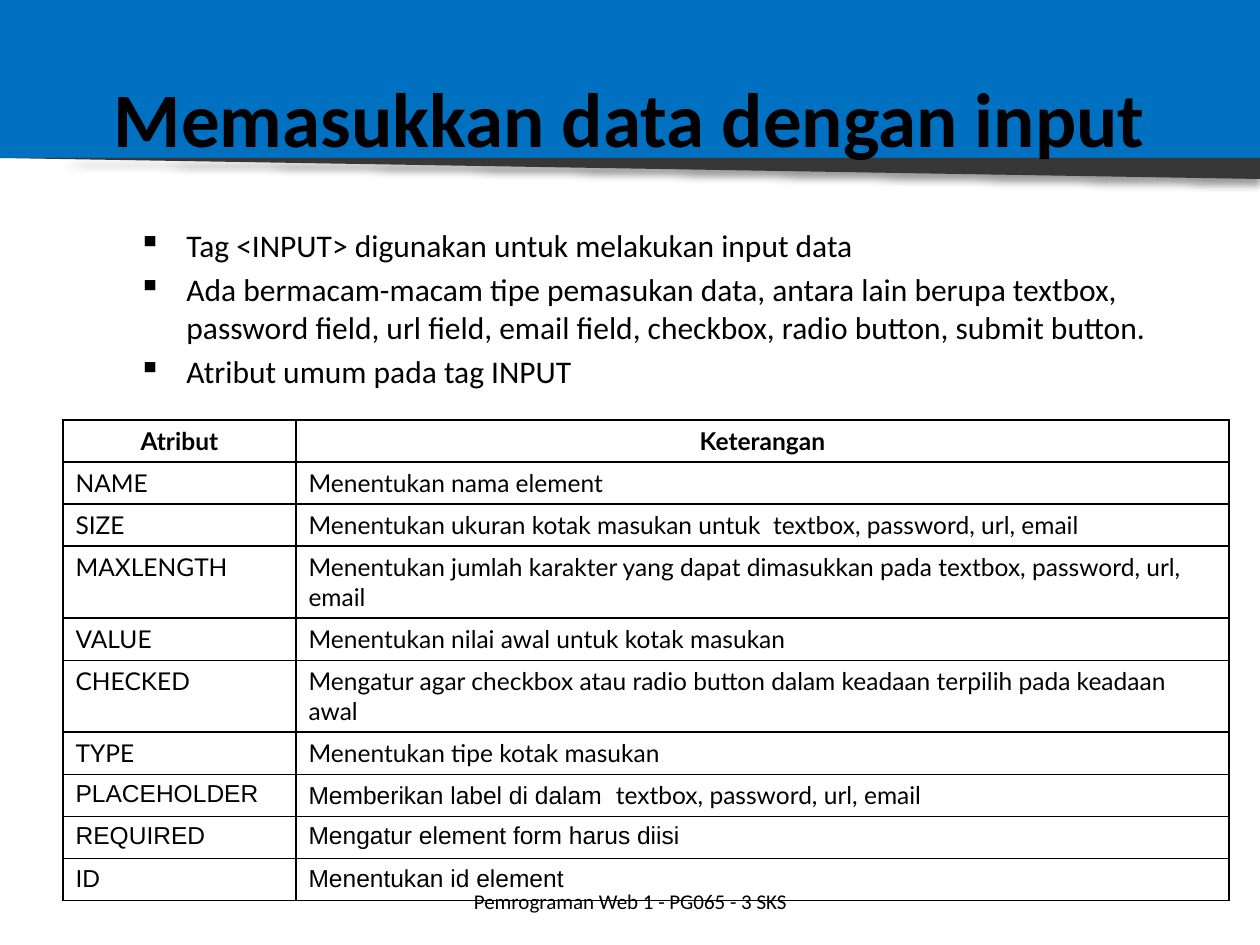
import pptx
import pptx.util
import pptx.dml.color
import pptx.enum.shapes
import pptx.enum.text
import pptx.oxml
import pptx.oxml.ns

BLACK = pptx.dml.color.RGBColor(0x00, 0x00, 0x00)
BLUE = pptx.dml.color.RGBColor(0x00, 0x70, 0xC0)
DARK_GRAY = pptx.dml.color.RGBColor(0x37, 0x37, 0x37)
CENTER = pptx.enum.text.PP_ALIGN.CENTER
LEFT = pptx.enum.text.PP_ALIGN.LEFT
MIDDLE = pptx.enum.text.MSO_ANCHOR.MIDDLE
SHAPES = pptx.enum.shapes.MSO_SHAPE
NAMESPACE = pptx.oxml.ns.nsdecls("a")


def px(*lengths):
    """Turn pixels (126 to the inch) into EMU."""
    return [pptx.util.Emu(round(length * 914400 / 126)) for length in lengths]


def write(paragraph, text, font="Calibri", size=18, bold=False, align=LEFT):
    paragraph.alignment = align
    run = paragraph.add_run()
    run.text = text
    run.font.name = font
    run.font.size = pptx.util.Pt(size)
    run.font.bold = bold
    run.font.color.rgb = BLACK


deck = pptx.Presentation()
deck.slide_width, deck.slide_height = px(1260, 945)
slide = deck.slides.add_slide(deck.slide_layouts[5])

# Header band with a slanted, shadowed edge
band = slide.shapes.add_shape(SHAPES.RECTANGLE, *px(0, 0, 1260, 158))
edge = slide.shapes.add_shape(SHAPES.RIGHT_TRIANGLE, *px(0, 158, 1260, 21))
edge.rotation = 180
for part, color in ((band, BLUE), (edge, DARK_GRAY)):
    part.shadow.inherit = False
    part.fill.solid()
    part.fill.fore_color.rgb = color
    part.line.fill.background()
effects = edge._element.spPr.find(pptx.oxml.ns.qn("a:effectLst"))
effects.append(pptx.oxml.parse_xml(
    f'<a:outerShdw {NAMESPACE} blurRad="50800" dist="38100" dir="5400000" rotWithShape="0">'
    '<a:srgbClr val="000000"><a:alpha val="40000"/></a:srgbClr></a:outerShdw>'))

# Title, brought in front of the band
title = slide.shapes.title
title.left, title.top, title.width, title.height = px(63, 38, 1134, 158)
title.text_frame.vertical_anchor = MIDDLE
write(title.text_frame.paragraphs[0], "Memasukkan data dengan input",
      size=44, bold=True, align=CENTER)
slide.shapes._spTree.append(title._element)

# Footer
footer = slide.shapes.add_textbox(*px(431, 876, 399, 50)).text_frame
footer.word_wrap = True
footer.vertical_anchor = MIDDLE
write(footer.paragraphs[0], "Pemrograman Web 1 - PG065 - 3 SKS", size=12, align=CENTER)

# Bulleted introduction
intro = slide.shapes.add_textbox(*px(126, 220, 1080, 624)).text_frame
intro.word_wrap = True
points = [
    "Tag <INPUT> digunakan untuk melakukan input data",
    "Ada bermacam-macam tipe pemasukan data, antara lain berupa textbox, "
    "password field, url field, email field, checkbox, radio button, submit button.",
    "Atribut umum pada tag INPUT",
]
for number, point in enumerate(points):
    paragraph = intro.add_paragraph() if number else intro.paragraphs[0]
    paragraph.space_before = pptx.util.Pt(3.6)
    write(paragraph, point)
    properties = paragraph._p.get_or_add_pPr()
    indent = px(48)[0]
    properties.set("marL", str(indent))
    properties.set("indent", str(-indent))
    properties.append(pptx.oxml.parse_xml(f'<a:buChar {NAMESPACE} char="▪"/>'))

# Attribute table: row height, then the (text, font) runs of each cell
attributes = [
    (42, [("Atribut", "Lato")], [("Keterangan", "Lato")]),
    (42, [("NAME", "Lato")], [("Menentukan nama element", "Lato")]),
    (42, [("SIZE", "Lato")],
     [("Menentukan ukuran kotak masukan untuk  textbox, password, url, email", "Lato")]),
    (72, [("MAXLENGTH", "Lato")],
     [("Menentukan jumlah karakter yang dapat dimasukkan pada textbox, "
       "password, url, email", "Lato")]),
    (42, [("VALUE", "Lato")], [("Menentukan nilai awal untuk kotak masukan", "Lato")]),
    (72, [("CHECKED", "Lato")],
     [("Mengatur agar checkbox atau radio button dalam keadaan terpilih "
       "pada keadaan awal", "Lato")]),
    (42, [("TYPE", "Lato")], [("Menentukan tipe kotak masukan", "Lato")]),
    (42, [("PLACEHOLDER", "Arial")],
     [("Memberikan label di dalam  ", "Arial"), ("textbox, password, url, email", "Lato")]),
    (40, [("REQUIRED", "Arial")], [("Mengatur element form harus diisi", "Arial")]),
    (40, [("ID", "Arial")], [("Menentukan id element", "Arial")]),
]
table_height = sum(height for height, *_ in attributes)
table = slide.shapes.add_table(len(attributes), 2, *px(63, 420, 1166, table_height)).table
table.columns[0].width, table.columns[1].width = px(233, 933)
for row, (height, *cells) in enumerate(attributes):
    table.rows[row].height = px(height)[0]
    for column, runs in enumerate(cells):
        cell = table.cell(row, column)
        for text, font in runs:
            write(cell.text_frame.paragraphs[0], text, font=font, size=14,
                  bold=row == 0, align=LEFT if row else CENTER)
        borders = cell._tc.get_or_add_tcPr()
        for side in ("lnL", "lnR", "lnT", "lnB"):
            borders.append(pptx.oxml.parse_xml(
                f'<a:{side} {NAMESPACE} w="12700"><a:solidFill>'
                f'<a:srgbClr val="{BLACK}"/></a:solidFill></a:{side}>'))
        cell.fill.background()

deck.save("out.pptx")
